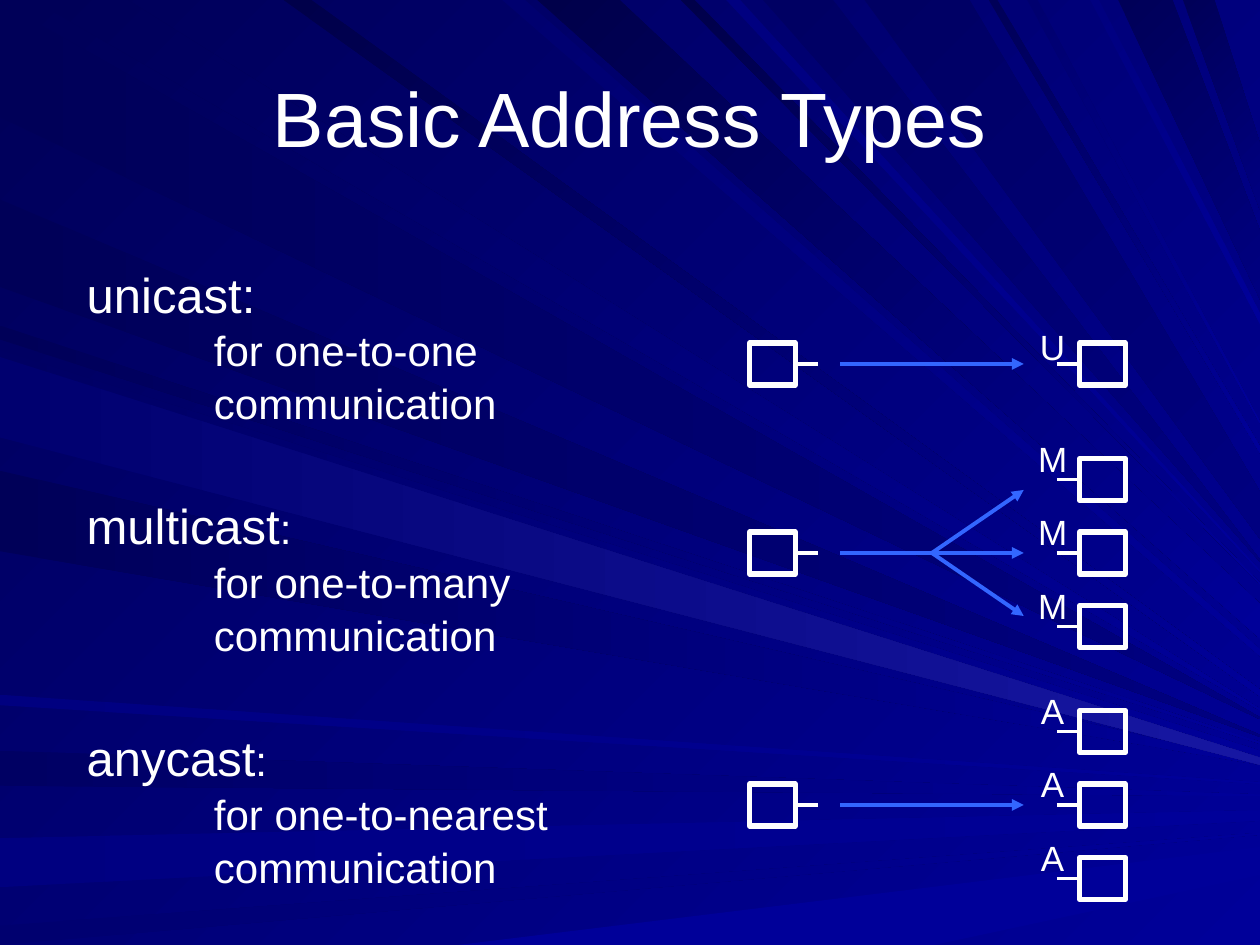
import dataclasses

import lxml.etree
import pptx
import pptx.dml.color
import pptx.enum.shapes
import pptx.enum.text
import pptx.oxml.ns
import pptx.util

Pt = pptx.util.Pt
RGBColor = pptx.dml.color.RGBColor
qn = pptx.oxml.ns.qn

FONT = "Arial"
WHITE = RGBColor.from_string("FFFFFF")
ARROW_BLUE = RGBColor.from_string("3366FF")
BLACKISH = RGBColor.from_string("00004A")
DEEP = RGBColor.from_string("000058")
DIM = RGBColor.from_string("000063")
SOFT = RGBColor.from_string("00006F")
MID = RGBColor.from_string("000080")
BRIGHT = RGBColor.from_string("000099")
GLOW = RGBColor.from_string("1717A2")

PAGE_WIDTH, PAGE_HEIGHT = 720, 540


@dataclasses.dataclass
class Ray:
    """A beam from one page edge to a tip on the right edge."""
    edge: str
    near: float
    far: float
    tip: float
    start: RGBColor
    end: RGBColor = BRIGHT
    tip_height: float = 1


@dataclasses.dataclass
class Cast:
    name: str
    colon_size: int
    lines: tuple[str, str]
    letter: str
    middle: float
    receivers: tuple[int, ...] = (-42, 0, 42)  # offsets from the middle
    branches: tuple[int, ...] = ()  # arrow tips off the middle
    label_rise: float = 28


# Background rays, from back to front
RAYS = [
    Ray("left", 1, 67, 410, DEEP, MID),
    Ray("top", 73, 19, 405, DEEP),
    Ray("left", 429, 449, 454, DIM),
    Ray("left", 479, 507, 463, MID, tip_height=6),
    Ray("left", 529, 540, 476, SOFT),
    Ray("bottom", 262, 534, 484, BRIGHT, tip_height=16),
    Ray("left", 186, 194, 424, DEEP),
    Ray("left", 114, 164, 420, DEEP, MID),
    Ray("top", 300, 287, 371, SOFT, tip_height=4),
    Ray("top", 354, 307, 345, BLACKISH, tip_height=20),
    Ray("top", 397, 389, 333, BLACKISH),
    Ray("top", 476, 436, 320, DIM, MID),
    Ray("top", 670, 639, 132, DEEP, MID, 39),
    Ray("top", 694, 676, 82, DEEP, MID, 38),
    Ray("left", 200, 246, 429, DIM, tip_height=4),
    Ray("left", 269, 315, 436, DEEP),
    Ray("left", 397, 403, 447, MID),
    Ray("top", 178, 162, 394, BLACKISH, tip_height=4),
    Ray("top", 423, 415, 326, MID),
    Ray("top", 554, 494, 281, DIM, MID, 27),
    Ray("top", 570, 565, 255, DEEP, tip_height=4),
    Ray("top", 593, 587, 241, SOFT),
    Ray("top", 628, 623, 179, MID, tip_height=6),
    Ray("left", 204, 250, 433, SOFT, GLOW, 4),
]

CASTS = [
    Cast("unicast", 28, ("for one-to-one", "communication"), "U", 208, receivers=(0,), label_rise=26),
    Cast("multicast", 24, ("for one-to-many", "communication"), "M", 316, branches=(-36, 36)),
    Cast("anycast", 24, ("for one-to-nearest", "communication"), "A", 460),
]

HOST_WIDTH, HOST_HEIGHT, STUB = 26, 24, 13
SENDER_LEFT, RECEIVER_LEFT = 428.4, 617
ARROW_START, FORK, ARROW_END = 480, 532.5, 585
LABEL_LEFT, LABEL_WIDTH, LABEL_HEIGHT = 586, 31, 31.5


def paint_gradient(fill, start: RGBColor, end: RGBColor, angle: int) -> None:
    fill.gradient()
    fill.gradient_angle = -angle % 360
    for stop, color in zip(fill.gradient_stops, (start, end)):
        stop.color.rgb = color


def edge_point(edge: str, distance: float) -> tuple[int, int]:
    if edge == "left":
        return Pt(0), Pt(distance)
    return Pt(distance), Pt(0 if edge == "top" else PAGE_HEIGHT)


def add_ray(page, ray: Ray) -> None:
    builder = page.shapes.build_freeform(*edge_point(ray.edge, ray.near))
    builder.add_line_segments([
        edge_point(ray.edge, ray.far),
        (Pt(PAGE_WIDTH), Pt(ray.tip + ray.tip_height)),
        (Pt(PAGE_WIDTH), Pt(ray.tip)),
    ])
    shape = builder.convert_to_shape()
    shape.shadow.inherit = False
    shape.line.fill.background()
    paint_gradient(shape.fill, ray.start, ray.end, 45 if ray.edge == "top" else 0)


def set_font(paragraph, size: float) -> None:
    paragraph.font.name = FONT
    paragraph.font.size = Pt(size)
    paragraph.font.color.rgb = WHITE


def add_line(page, x1: float, y1: float, x2: float, y2: float, color: RGBColor, arrow: bool = False):
    line = page.shapes.add_connector(
        pptx.enum.shapes.MSO_CONNECTOR.STRAIGHT, Pt(x1), Pt(y1), Pt(x2), Pt(y2))
    line.line.color.rgb = color
    line.line.width = Pt(2.25)
    if arrow:
        outline = line._element.spPr.find(qn("a:ln"))
        lxml.etree.SubElement(outline, qn("a:tailEnd"), type="triangle")
    lxml.etree.SubElement(line._element.spPr, qn("a:effectLst"))
    return line


def add_host(page, left: float, middle: float):
    host = page.shapes.add_shape(
        pptx.enum.shapes.MSO_SHAPE.RECTANGLE,
        Pt(left), Pt(middle - HOST_HEIGHT / 2), Pt(HOST_WIDTH), Pt(HOST_HEIGHT))
    host.shadow.inherit = False
    host.fill.background()
    host.line.color.rgb = WHITE
    host.line.width = Pt(3)
    return host


def add_diagram(page, cast: Cast) -> None:
    # Sender and arrows
    middle = cast.middle
    edge = SENDER_LEFT + HOST_WIDTH
    sender = add_host(page, SENDER_LEFT, middle)
    add_line(page, edge, middle, edge + STUB, middle, WHITE).begin_connect(sender, 3)
    add_line(page, ARROW_START, middle, ARROW_END, middle, ARROW_BLUE, arrow=True)
    for branch in cast.branches:
        add_line(page, FORK, middle, ARROW_END, middle + branch, ARROW_BLUE, arrow=True)
    # Receivers with their address letters
    for offset in cast.receivers:
        y = middle + offset
        receiver = add_host(page, RECEIVER_LEFT, y)
        add_line(page, RECEIVER_LEFT - STUB, y, RECEIVER_LEFT, y, WHITE).end_connect(receiver, 1)
        label = page.shapes.add_textbox(
            Pt(LABEL_LEFT), Pt(y - cast.label_rise), Pt(LABEL_WIDTH), Pt(LABEL_HEIGHT))
        label.text_frame.word_wrap = False
        label.text_frame.vertical_anchor = pptx.enum.text.MSO_ANCHOR.MIDDLE
        paragraph = label.text_frame.paragraphs[0]
        paragraph.text = cast.letter
        paragraph.alignment = pptx.enum.text.PP_ALIGN.CENTER
        set_font(paragraph, 20)


def add_description(paragraph, cast: Cast) -> None:
    tabs = lxml.etree.SubElement(paragraph._p.get_or_add_pPr(), qn("a:tabLst"))
    lxml.etree.SubElement(tabs, qn("a:tab"), pos=str(int(Pt(72.7))), algn="l")
    paragraph.line_spacing = 1.04
    set_font(paragraph, 24)
    for text, size in ((cast.name, 28), (":", cast.colon_size)):
        span = paragraph.add_run()
        span.text = text
        span.font.size = Pt(size)
    for line in cast.lines:
        paragraph.add_line_break()
        paragraph.add_run().text = "\t" + line


def main() -> None:
    deck = pptx.Presentation()
    deck.slide_width, deck.slide_height = Pt(PAGE_WIDTH), Pt(PAGE_HEIGHT)
    page = deck.slides.add_slide(deck.slide_layouts[5])

    # Background
    paint_gradient(page.background.fill, DEEP, BRIGHT, 45)
    for ray in RAYS:
        add_ray(page, ray)

    # Title, brought in front of the rays
    title = page.shapes.title
    page.shapes._spTree.append(title._element)
    title.left, title.top, title.width, title.height = Pt(36), Pt(21.6), Pt(648), Pt(90)
    title.text_frame.text = "Basic Address Types"
    title.text_frame.vertical_anchor = pptx.enum.text.MSO_ANCHOR.MIDDLE
    heading = title.text_frame.paragraphs[0]
    heading.alignment = pptx.enum.text.PP_ALIGN.CENTER
    set_font(heading, 44)

    # Descriptions
    box = page.shapes.add_textbox(Pt(42.5), Pt(152), Pt(344), Pt(355))
    frame = box.text_frame
    frame.word_wrap = True
    frame.vertical_anchor = pptx.enum.text.MSO_ANCHOR.MIDDLE
    for index, cast in enumerate(CASTS):
        paragraph = frame.add_paragraph() if index else frame.paragraphs[0]
        add_description(paragraph, cast)
        if index:
            paragraph.space_before = Pt(37.7)

    # Diagrams
    for cast in CASTS:
        add_diagram(page, cast)

    deck.save("out.pptx")


if __name__ == "__main__":
    main()
